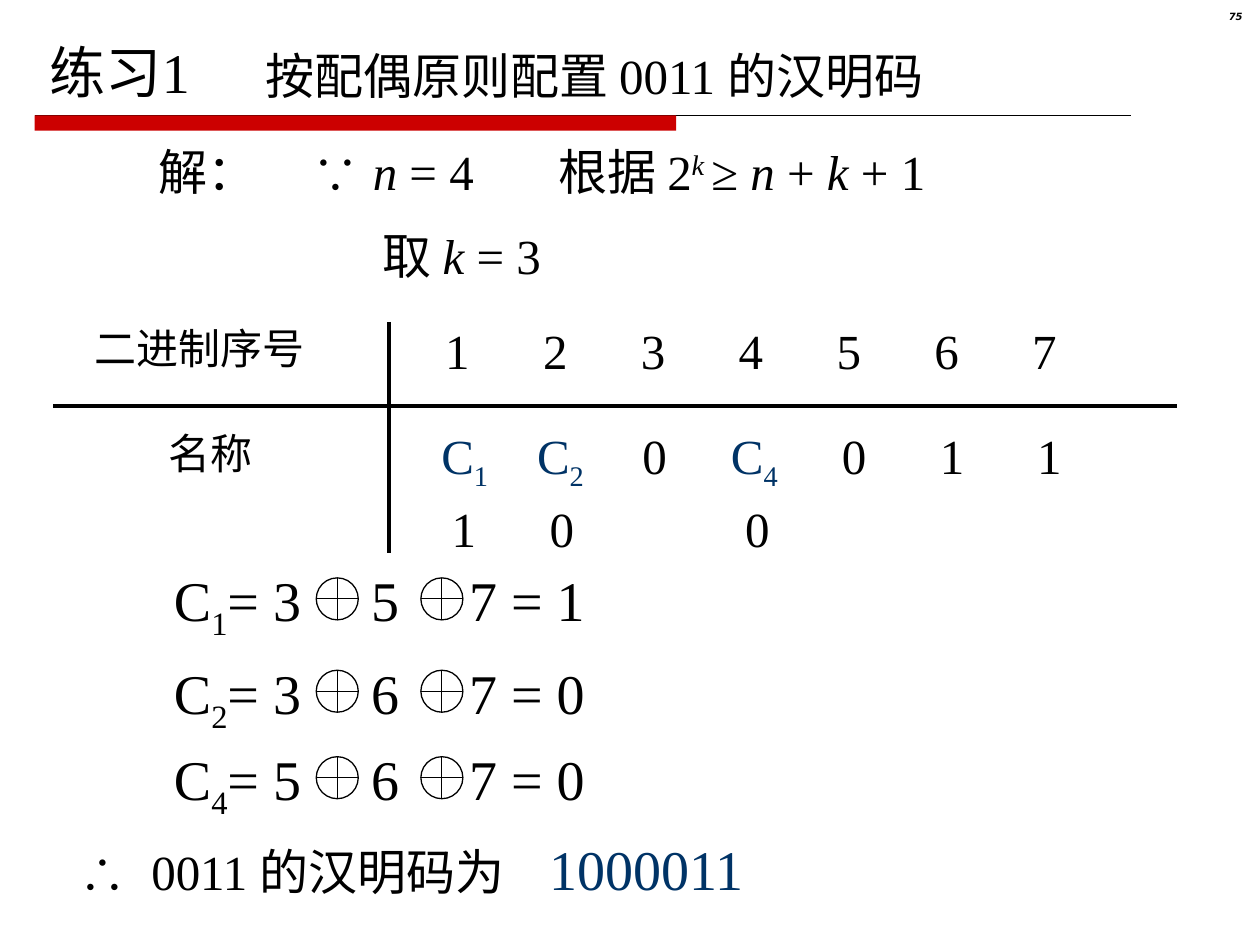
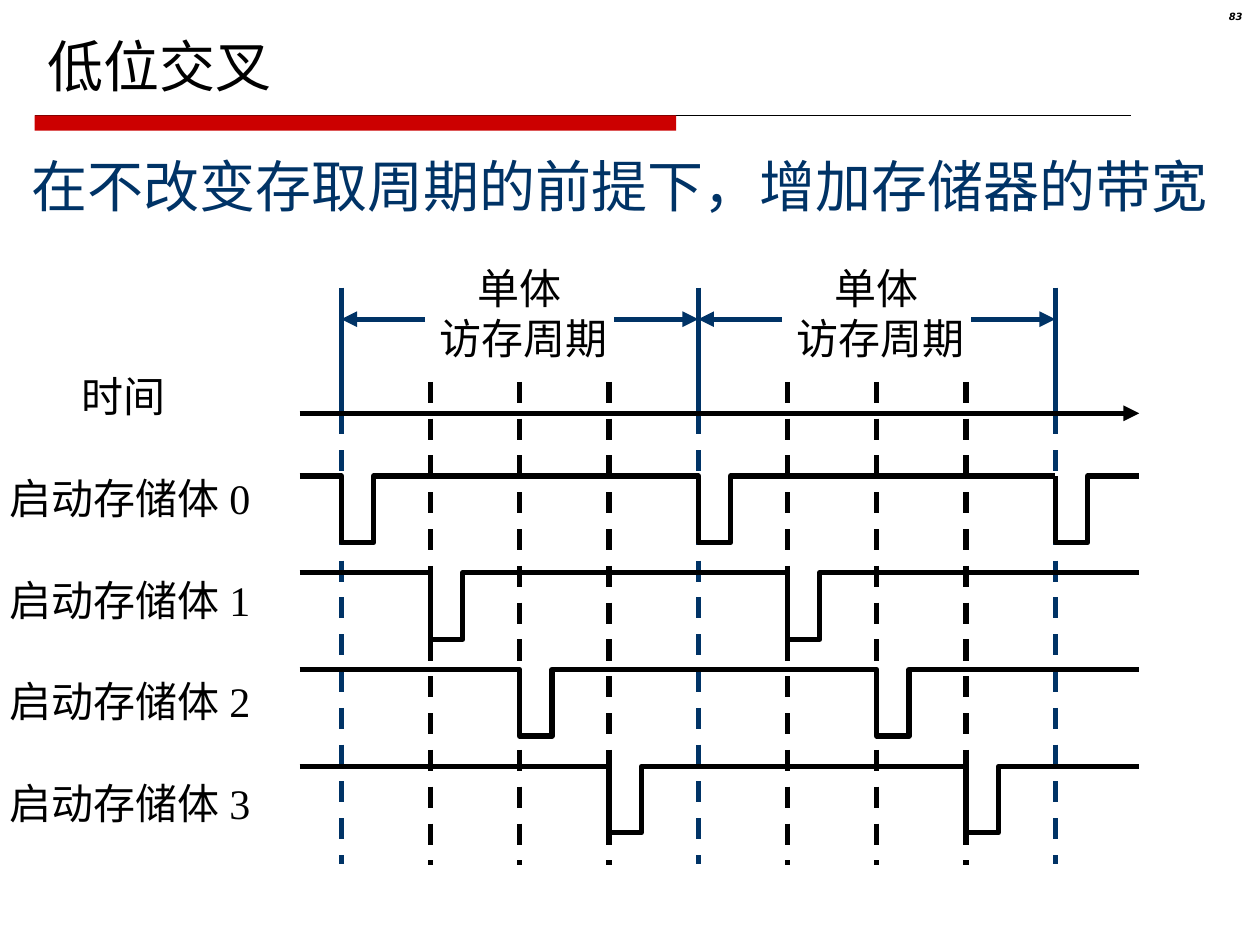
from lxml import etree
from pptx import Presentation
from pptx.dml.color import RGBColor
from pptx.enum.dml import MSO_LINE
from pptx.enum.shapes import MSO_CONNECTOR, MSO_SHAPE
from pptx.enum.text import MSO_ANCHOR, PP_ALIGN
from pptx.oxml.ns import qn
from pptx.util import Pt

COLORS = {"ink": "000000", "navy": "003366", "band": "CC0000"}
SERIF, SANS = "Times New Roman", "DejaVu Sans"


def color(name):
    return RGBColor.from_string(COLORS[name])


class Deck:
    """Shared style, and the slide being drawn."""

    def __init__(self):
        self.prs = Presentation()
        self.prs.slide_width, self.prs.slide_height = Pt(720), Pt(540)
        self.slide = None

    def new_slide(self, number):
        self.slide = self.prs.slides.add_slide(self.prs.slide_layouts[6])
        self.line((19.8, 65.9), (646.4, 65.9), weight=0.75)
        band = self.shape(MSO_SHAPE.RECTANGLE, 19.8, 65.9, 366.6, 8.8)
        band.fill.solid()
        band.fill.fore_color.rgb = color("band")
        band.line.fill.background()
        page = self.text([number], 674.6, 3.6, 42.5, 16.6, size=5.7,
                         font=SANS, align=PP_ALIGN.RIGHT)
        page.line_spacing = 0.8
        page.font.bold = page.font.italic = True

    def title(self, text, left, top, width, font=SERIF):
        self.text([text], left, top, width, 48, size=32, font=font,
                  anchor=MSO_ANCHOR.BOTTOM)

    def text(self, *lines, size=28, ink="ink", font=SERIF,
             align=PP_ALIGN.LEFT, anchor=MSO_ANCHOR.TOP, tabs=(),
             tab_align="l"):
        """Lists of runs, one per paragraph, then left, top, width, height."""
        paragraphs = [item for item in lines if isinstance(item, list)]
        left, top, width, height = lines[len(paragraphs):]
        box = self.slide.shapes.add_textbox(
            Pt(left), Pt(top), Pt(width), Pt(height))
        frame = box.text_frame
        frame.word_wrap = True
        frame.vertical_anchor = anchor
        for i, runs in enumerate(paragraphs):
            para = frame.add_paragraph() if i else frame.paragraphs[0]
            para.alignment = align
            self.set_tabs(para, tabs, tab_align)
            para.font.size, para.font.name = Pt(size), font
            para.font.color.rgb = color(ink)
            self.add_runs(para, runs)
        return para

    def set_tabs(self, para, tabs, tab_align):
        if tabs:
            stops = etree.SubElement(para._p.get_or_add_pPr(), qn("a:tabLst"))
            for stop in tabs:
                etree.SubElement(stops, qn("a:tab"), pos=str(Pt(stop)),
                                 algn=tab_align)

    def add_runs(self, para, runs):
        """A run is a string or (string, style dict)."""
        for item in runs:
            words, style = (item, {}) if isinstance(item, str) else item
            run = para.add_run()
            run.text = words
            if "italic" in style:
                run.font.italic = True
            if "size" in style:
                run.font.size = Pt(style["size"])
            if "ink" in style:
                run.font.color.rgb = color(style["ink"])
            if "base" in style:
                run._r.get_or_add_rPr().set("baseline",
                                            str(style["base"] * 1000))

    def shape(self, kind, left, top, width, height):
        shape = self.slide.shapes.add_shape(
            kind, Pt(left), Pt(top), Pt(width), Pt(height))
        shape.shadow.inherit = False
        return shape

    def xor_sign(self, left, top):
        sign = self.shape(MSO_SHAPE.FLOWCHART_OR, left, top, 24, 24)
        sign.fill.background()
        sign.line.color.rgb = color("ink")
        sign.line.width = Pt(0.75)

    def line(self, start, end, ink="ink", weight=3, dashed=False, arrow=False):
        line = self.slide.shapes.add_connector(
            MSO_CONNECTOR.STRAIGHT, *(Pt(v) for v in (*start, *end)))
        line.line.color.rgb = color(ink)
        line.line.width = Pt(weight)
        if dashed:
            line.line.dash_style = MSO_LINE.DASH
        if arrow:
            etree.SubElement(line.line._get_or_add_ln(), qn("a:tailEnd"),
                             type="triangle")
        etree.SubElement(line._element.spPr, qn("a:effectLst"))

    def wave(self, points):
        (first, *rest) = [(Pt(x), Pt(y)) for x, y in points]
        builder = self.slide.shapes.build_freeform(*first)
        builder.add_line_segments(rest, close=False)
        wave = builder.convert_to_shape()
        wave.shadow.inherit = False
        wave.fill.background()
        wave.line.color.rgb = color("ink")
        wave.line.width = Pt(3)


ITALIC, SUB = {"italic": True}, {"base": -25}


def check_bit(index):
    return [("C", {"ink": "navy"}), (index, {"ink": "navy", **SUB})]


def hamming_exercise(deck):
    deck.new_slide("75")
    deck.title("练习1", 21.3, 15.1, 110)
    deck.text(["按配偶原则配置 0011 的汉明码"], 144.7, 22.3, 456, 41)

    # Number of check bits
    deck.text(["解："], 83.5, 77.3, 80, 41)
    deck.text(["∵ ", ("n", ITALIC), " = 4\t根据 2",
               ("k ", {"italic": True, "base": 30}), "≥ ", ("n", ITALIC),
               " + ", ("k", ITALIC), " + 1"], 171.1, 77.3, 400, 41,
              tabs=[140.9])
    deck.text(["取 ", ("k", ITALIC), " = 3"], 211.7, 125.3, 130, 41)

    # Code table
    deck.line((30.5, 232), (672.5, 232), weight=2.25)
    deck.line((222.5, 184), (222.5, 316), weight=2.25)
    deck.text(["二进制序号"], 47.2, 180.7, 150, 36, size=24)
    deck.text(["名称"], 89, 240.5, 80, 36, size=24)
    names = ["\t", *check_bit("1"), "\t", *check_bit("2"), "\t0\t",
             *check_bit("4"), "\t0\t1\t1"]
    numbers = ["\t" + "\t".join("1234567")]
    steps = [55.9 * i for i in range(7)]
    name_stops = [28.5, 83.2, 137, 194, 251, 307, 362.5]
    for runs, top, stops in (
            (numbers, 179.7, [24.3 + step for step in steps]),
            (names, 239.4, name_stops),
            (["\t1\t0\t\t0"], 281.5, [28 + step for step in steps])):
        deck.text(runs, 230, top, 420, 41, tabs=stops, tab_align="ctr")

    # Parity equations
    for bit, (a, b, c), result, top in (("1", "357", "1", 319.7),
                                        ("2", "367", "0", 372.5),
                                        ("4", "567", "0", 421.9)):
        deck.text(["C", (bit, SUB), f"= {a}\t{b}\t{c} = {result}"],
                  92.3, top, 270, 51, size=32, tabs=[112.7, 168.7])
        for left in (180.7, 240.5):
            deck.xor_sign(left, top + 10.5)

    # Answer
    deck.text(["∴\t0011 的汉明码为\t",
               ("1000011", {"size": 32, "ink": "navy"})],
              37.7, 473.4, 410, 46, tabs=[41.7, 269])


def low_order_interleaving(deck):
    first, slot, pulse, depth = 195, 51, 18.5, 38
    period = 4 * slot
    last = first + 2 * period
    axis_start, axis_end = 171.2, 651

    deck.new_slide("83")
    deck.title("低位交叉", 19.8, 12.2, 680, font=SANS)
    deck.text(["在不改变存取周期的前提下，增加存储器的带宽"],
              10.8, 82.8, 700, 46, size=32, ink="navy")

    # Time grid: one step per bank, a full period every fourth step
    for step in range(9):
        x = first + slot * step
        if step % 4:
            deck.line((x, 218.2), (x, 494.5), dashed=True)
        else:
            deck.line((x, 236.2), (x, 494), "navy", dashed=True)
            deck.line((x, 164.4), (x, 242.6), "navy")
    deck.text(["时间"], 39.6, 208, 80, 36, size=24)
    deck.line((axis_start, 236.2), (axis_end, 236.2), arrow=True)

    # Single-bank access periods
    for start in (first, first + period):
        end = start + period
        deck.text(["\t单体"], ["访存周期"], start + 49, 146.2, 114, 65,
                  size=24, tabs=[21.7])
        deck.line((start + 48, 182.4), (start, 182.4), "navy", arrow=True)
        deck.line((end - 48, 182.4), (end, 182.4), "navy", arrow=True)

    # Start signal of each bank; a pulse at the last period opens a new wave
    for bank in range(4):
        deck.text([f"启动存储体 {bank}"], -1.4, 266.4 + 58.1 * bank, 168, 36,
                  size=24)
        high = 272 + 55.3 * bank
        points = [(axis_start, high)]
        for fall in range(first + slot * bank, int(axis_end), period):
            if fall == last:
                deck.wave(points + [(fall, high)])
                points = []
            rise = fall + pulse
            points += [(fall, high), (fall, high + depth),
                       (rise, high + depth), (rise, high)]
        deck.wave(points + [(axis_end, high)])


def main():
    deck = Deck()
    hamming_exercise(deck)
    low_order_interleaving(deck)
    deck.prs.save("out.pptx")


if __name__ == "__main__":
    main()
